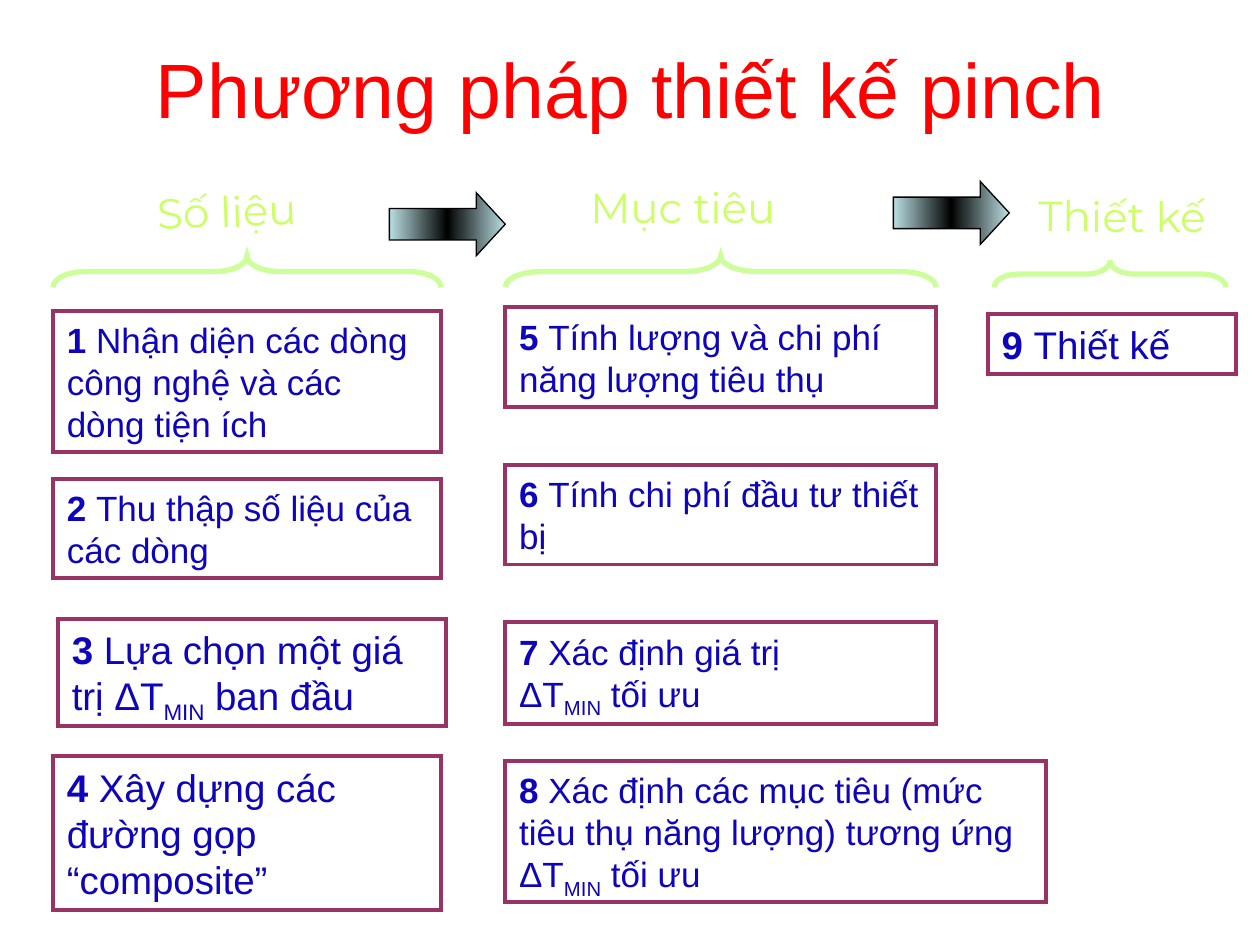
"""Build the pinch design method slide."""
from copy import deepcopy
from dataclasses import dataclass

from lxml.etree import SubElement
from pptx import Presentation
from pptx.dml.color import RGBColor
from pptx.enum.shapes import MSO_SHAPE as Preset
from pptx.enum.text import MSO_ANCHOR as Anchor, MSO_AUTO_SIZE as AutoSize, PP_ALIGN as Align
from pptx.oxml.ns import qn
from pptx.shapes.autoshape import Shape
from pptx.slide import Slide
from pptx.text.text import Font
from pptx.util import Inches, Pt


@dataclass(frozen=True)
class Theme:
    """Colours, fonts and type sizes of the slide."""
    title: str = "FF0000"
    heading: str = "CCFF66"
    brace: str = "CCFF99"
    border: str = "993366"
    step: str = "0D04BC"
    outline: str = "000000"
    arrow_edge: str = "BBE0E3"
    arrow_middle: str = "000000"
    text_font: str = "Arial"
    heading_font: str = "Montserrat"
    title_size: int = 44
    heading_size: int = 24
    large_step: int = 22
    small_step: int = 20


THEME = Theme()


@dataclass(frozen=True)
class Stage:
    """A heading with its frame and tilt, and the brace below it."""
    text: str
    frame: tuple[float, float, float, float]
    tilt: float
    brace: tuple[float, float, float, float]
    curve: float


@dataclass(frozen=True)
class Step:
    """A numbered box; text between underscores is subscript."""
    number: int
    text: str
    left: float
    top: float
    width: float
    height: float
    size: int = THEME.small_step


STAGES = [
    Stage("Số liệu", (1.2, 1.42, 1.2, 0.52), 358, (0.42, 2.03, 3.08, 0.25), 1.03),
    Stage("Mục tiêu", (4.62, 1.39, 1.6, 0.61), 0, (4.01, 2.03, 3.42, 0.25), 1.14),
    Stage("Thiết kế", (8.18, 1.46, 1.45, 0.52), 0.3, (7.89, 2.07, 1.84, 0.21), 0.93),
]
STEPS = [
    Step(1, "Nhận diện các dòng công nghệ và các dòng tiện ích", 0.42, 2.47, 3.08, 1.12),
    Step(2, "Thu thập số liệu của các dòng", 0.42, 3.8, 3.08, 0.79),
    Step(3, "Lựa chọn một giá trị ΔT_MIN_ ban đầu", 0.46, 4.91, 3.08, 0.85, THEME.large_step),
    Step(4, "Xây dựng các đường gọp “composite”", 0.42, 6, 3.08, 1.22, THEME.large_step),
    Step(5, "Tính lượng và chi phí năng lượng tiêu thụ", 4.01, 2.44, 3.42, 0.79),
    Step(6, "Tính chi phí đầu tư thiết bị", 4.01, 3.69, 3.42, 0.79),
    Step(7, "Xác định giá trị\nΔT_MIN_ tối ưu", 4.01, 4.94, 3.42, 0.81),
    Step(8, "Xác định các mục tiêu (mức tiêu thụ năng lượng) tương ứng ΔT_MIN_ tối ưu",
         4.01, 6.04, 4.29, 1.12),
    Step(9, "Thiết kế", 7.84, 2.49, 1.97, 0.48, THEME.large_step),
]
ARROWS = [(3.09, 1.53), (7.09, 1.44)]


def style_font(font: Font, name: str, size: int, color: str) -> None:
    """Set the typeface, size and colour of a font."""
    font.name = name
    font.size = Pt(size)
    font.color.rgb = RGBColor.from_string(color)


def add_preset(slide: Slide, preset: Preset, frame: tuple[float, ...],
               color: str, weight: float) -> Shape:
    """Add an unfilled, shadowless preset shape with a solid, mitred line."""
    shape = slide.shapes.add_shape(preset, *map(Inches, frame))
    shape.shadow.inherit = False
    shape.fill.background()
    shape.line.color.rgb = RGBColor.from_string(color)
    shape.line.width = Pt(weight)
    SubElement(shape._element.spPr.find(qn("a:ln")), qn("a:miter"), lim="800000")
    return shape


def add_title(slide: Slide, text: str) -> None:
    """Place and format the title placeholder."""
    title = slide.shapes.title
    title.left, title.top, title.width, title.height = map(Inches, (0.51, 0.13, 9, 1.13))
    title.text_frame.text = text
    title.text_frame.vertical_anchor = Anchor.MIDDLE
    paragraph = title.text_frame.paragraphs[0]
    paragraph.alignment = Align.CENTER
    style_font(paragraph.font, THEME.text_font, THEME.title_size, THEME.title)


def add_stage(slide: Slide, stage: Stage) -> None:
    """Add a stage heading and its upward brace."""
    box = slide.shapes.add_textbox(*map(Inches, stage.frame))
    box.rotation = stage.tilt
    box.text_frame.word_wrap = False
    box.text_frame.margin_left = box.text_frame.margin_right = 0
    paragraph = box.text_frame.paragraphs[0]
    paragraph.alignment = Align.CENTER
    run = paragraph.add_run()
    run.text = stage.text
    style_font(run.font, THEME.heading_font, THEME.heading_size, THEME.heading)
    outline = SubElement(run.font._element, qn("a:ln"), w=str(Pt(0.75)))
    fill = SubElement(outline, qn("a:solidFill"))
    SubElement(fill, qn("a:srgbClr"), val=THEME.outline)
    run.font._element.insert(0, outline)

    left, top, width, height = stage.brace
    shift = (width - height) / 2
    brace = add_preset(slide, Preset.LEFT_BRACE, (left + shift, top - shift, height, width),
                       THEME.brace, 3)
    brace.rotation = 90
    brace.adjustments[0] = stage.curve


def add_step(slide: Slide, step: Step) -> None:
    """Add a bordered box with a bold number and its text."""
    box = add_preset(slide, Preset.RECTANGLE, (step.left, step.top, step.width, step.height),
                     THEME.border, 2.25)
    frame = box.text_frame
    frame.word_wrap = True
    frame.auto_size = AutoSize.SHAPE_TO_FIT_TEXT
    frame.vertical_anchor = Anchor.TOP
    frame.margin_left = frame.margin_right = Inches(0.11)
    frame.margin_top = frame.margin_bottom = Inches(0.06)
    for index, line in enumerate(step.text.split("\n")):
        paragraph = frame.add_paragraph() if index else frame.paragraphs[0]
        paragraph.alignment = Align.LEFT
        style_font(paragraph.font, THEME.text_font, step.size, THEME.step)
        if index == 0:
            number = paragraph.add_run()
            number.text = f"{step.number} "
            number.font.bold = True
        for position, part in enumerate(line.split("_")):
            run = paragraph.add_run()
            run.text = part
            if position % 2:
                run.font._element.set("baseline", "-25000")


def add_arrow(slide: Slide, left: float, top: float) -> None:
    """Add a right arrow with a three-stop gradient."""
    arrow = add_preset(slide, Preset.RIGHT_ARROW, (left, top, 0.92, 0.5), THEME.outline, 0.75)
    arrow.adjustments[1] = 0.46
    arrow.fill.gradient()
    arrow.fill.gradient_angle = 0
    stop_list = arrow._element.spPr.find(qn("a:gradFill")).find(qn("a:gsLst"))
    stop_list.append(deepcopy(stop_list[-1]))
    colors = (THEME.arrow_edge, THEME.arrow_middle, THEME.arrow_edge)
    for stop, color, position in zip(arrow.fill.gradient_stops, colors, (0, 0.5, 1)):
        stop.color.rgb = RGBColor.from_string(color)
        stop.position = position


def main() -> None:
    """Build and save the presentation."""
    presentation = Presentation()
    presentation.slide_width, presentation.slide_height = Inches(10), Inches(7.5)
    slide = presentation.slides.add_slide(presentation.slide_layouts[5])
    add_title(slide, "Phương pháp thiết kế pinch")
    for stage in STAGES:
        add_stage(slide, stage)
    for step in STEPS:
        add_step(slide, step)
    for left, top in ARROWS:
        add_arrow(slide, left, top)
    presentation.save("out.pptx")


if __name__ == "__main__":
    main()
